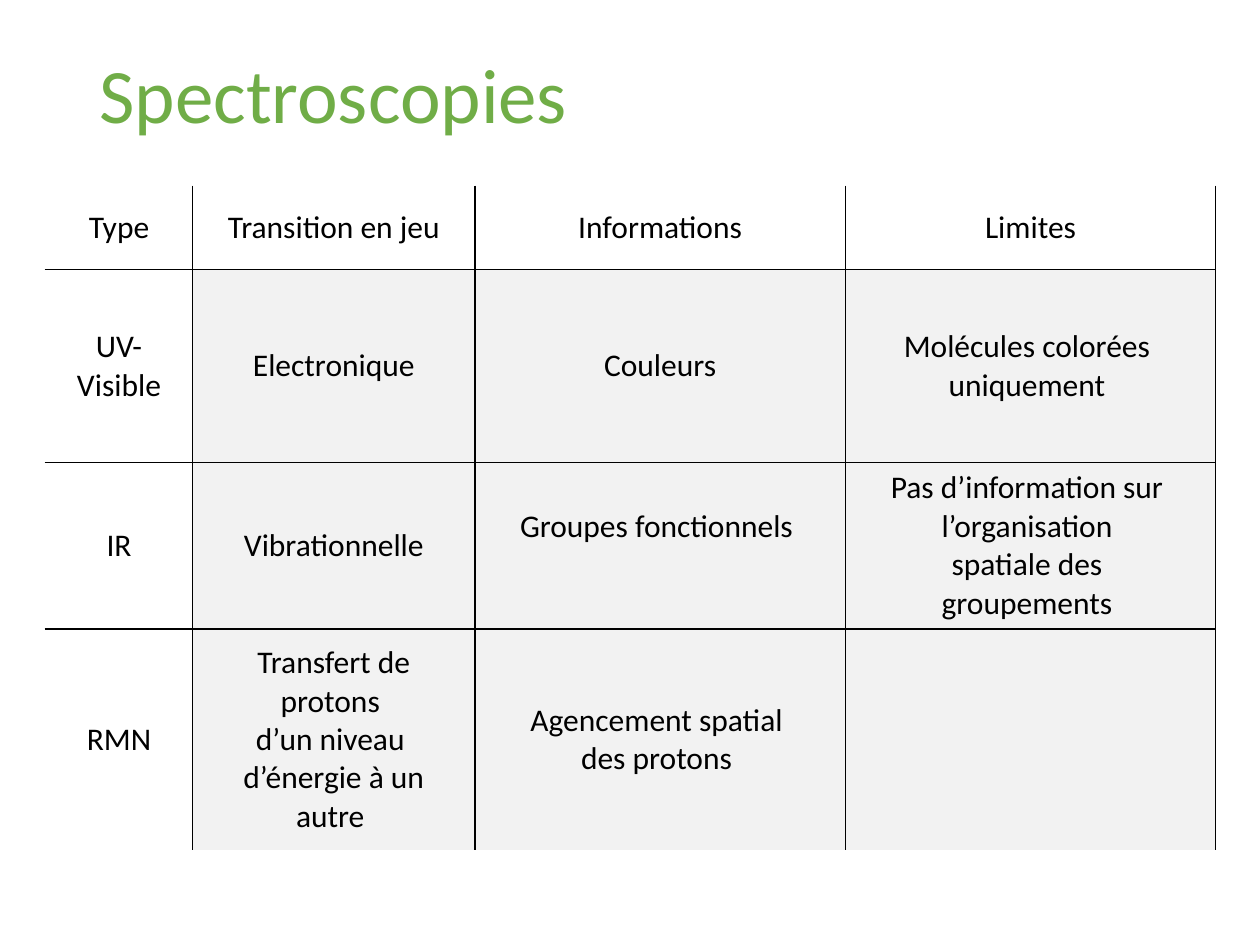
from dataclasses import dataclass

from lxml import etree
from pptx import Presentation
from pptx.dml.color import RGBColor
from pptx.enum.text import MSO_ANCHOR, PP_ALIGN
from pptx.oxml.ns import qn
from pptx.util import Inches, Pt

TOP, MIDDLE = MSO_ANCHOR.TOP, MSO_ANCHOR.MIDDLE
LEFT, CENTER = PP_ALIGN.LEFT, PP_ALIGN.CENTER
FONT = "Calibri"
COLORS = {"title": "70AD47", "ink": "000000", "body": "F2F2F2"}
NBSP = chr(160)
COLS = [1.17, 2.24, 2.94, 2.94]
ROWS = [0.66, 1.53, 1.32, 1.76]


@dataclass
class Entry:
    text: str
    foot: float = 0.05


GRID = [
    [Entry("Type"), Entry("Transition en jeu"), Entry("Informations"), Entry("Limites")],
    [
        Entry("UV-Visible"),
        Entry("Electronique"),
        Entry("Couleurs"),
        Entry("Molécules colorées\nuniquement"),
    ],
    [
        Entry("IR"),
        Entry("Vibrationnelle"),
        Entry("Groupes fonctionnels" + NBSP, foot=0.35),
        Entry("Pas d’information sur\nl’organisation\nspatiale des\ngroupements"),
    ],
    [
        Entry("RMN"),
        Entry("Transfert de protons\nd’un niveau\nd’énergie à un autre"),
        Entry("Agencement spatial\ndes protons"),
        Entry(""),
    ],
]


def write(frame, text: str, *, size: int, color: str, align, spacing: float = 1.0) -> None:
    lines = text.split("\n")
    tail = NBSP if len(lines) > 1 else ""
    for i, line in enumerate(lines):
        para = frame.add_paragraph() if i else frame.paragraphs[0]
        para.alignment = align
        para.line_spacing = spacing
        para.font.size = Pt(size)
        if not line:
            continue
        run = para.add_run()
        run.text = line + tail
        run.font.name = FONT
        run.font.size = Pt(size)
        run.font.color.rgb = RGBColor.from_string(COLORS[color])


def border(cell, sides: list[str]) -> None:
    props = cell._tc.get_or_add_tcPr()
    for i, side in enumerate(sides):
        line = etree.Element(qn(f"a:ln{side}"), w=str(Pt(1)))
        fill = etree.SubElement(line, qn("a:solidFill"))
        etree.SubElement(fill, qn("a:srgbClr"), val=COLORS["ink"])
        props.insert(i, line)


def draw_cell(cell, entry: Entry, row: int, col: int) -> None:
    cell.vertical_anchor = MIDDLE
    cell.margin_bottom = Inches(entry.foot)
    if row and col:
        cell.fill.solid()
        cell.fill.fore_color.rgb = RGBColor.from_string(COLORS["body"])
    else:
        cell.fill.background()
    write(cell.text_frame, entry.text, size=18, color="ink", align=CENTER)
    shown = {"L": col > 0, "R": True, "T": row > 0, "B": row < len(ROWS) - 1}
    border(cell, [side for side, show in shown.items() if show])


def draw_table(slide) -> None:
    frame = slide.shapes.add_table(
        len(ROWS), len(COLS), Inches(0.36), Inches(1.48),
        Inches(sum(COLS)), Inches(sum(ROWS)),
    )
    table = frame.table
    table.first_row = False
    table.horz_banding = False
    for col, width in zip(table.columns, COLS):
        col.width = Inches(width)
    for row, height in zip(table.rows, ROWS):
        row.height = Inches(height)
    for r, entries in enumerate(GRID):
        for c, entry in enumerate(entries):
            draw_cell(table.cell(r, c), entry, r, c)


def draw_title(slide) -> None:
    title = slide.shapes.title
    title.left, title.top = Inches(0.69), Inches(0.4)
    title.width, title.height = Inches(8.62), Inches(1.45)
    title.text_frame.vertical_anchor = TOP
    write(title.text_frame, "Spectroscopies", size=44, color="title", align=LEFT, spacing=0.9)


def main() -> None:
    deck = Presentation()
    deck.slide_width, deck.slide_height = Inches(10), Inches(7.5)
    slide = deck.slides.add_slide(deck.slide_layouts[5])
    draw_title(slide)
    draw_table(slide)
    deck.save("out.pptx")


if __name__ == "__main__":
    main()
